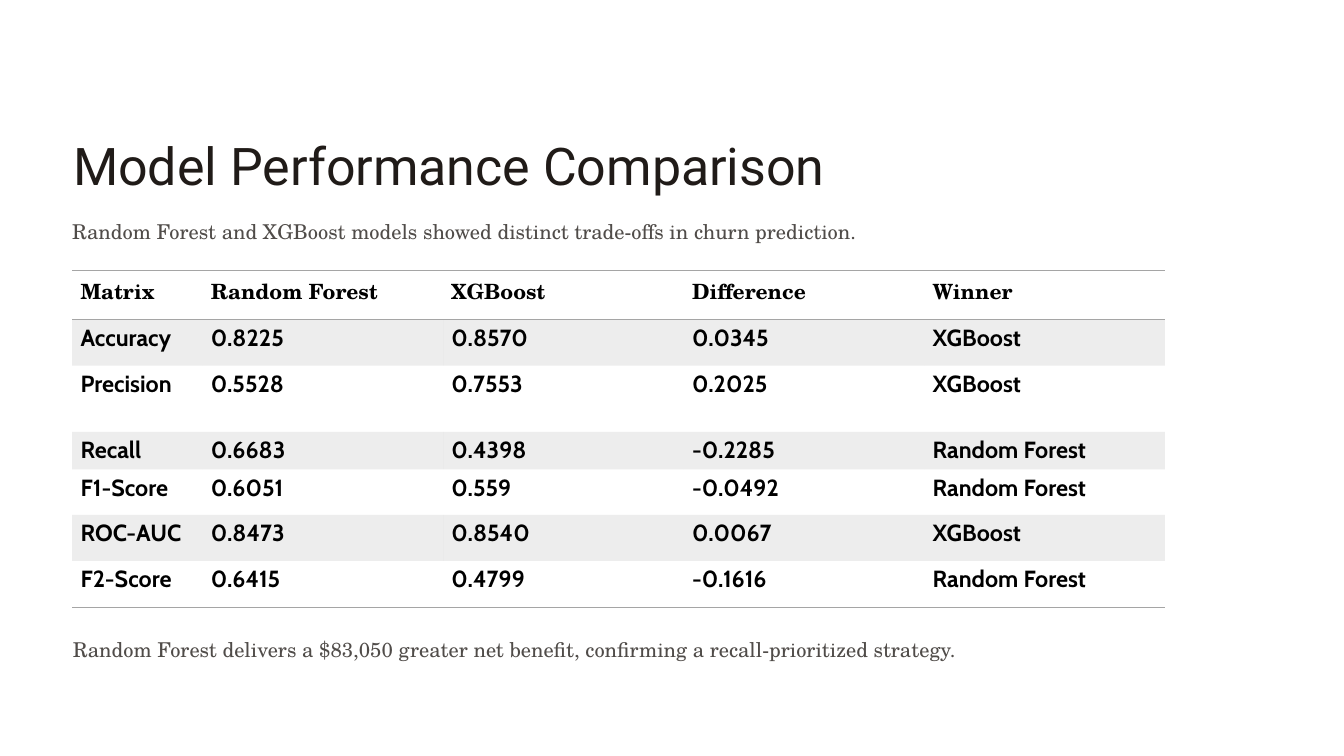
from lxml import etree
from pptx import Presentation
from pptx.dml.color import RGBColor
from pptx.enum import text
from pptx.oxml import ns
from pptx.util import Pt

COLORS = {"title": "201B18", "body": "504C49", "cell": "000000", "grey": "A5A5A5"}
TITLE = {"name": "Roboto", "size": Pt(44.5), "bold": False}
BODY = {"name": "TeX Gyre Schola", "size": Pt(17.5), "bold": False}
HEADER = {"name": "TeX Gyre Schola", "size": Pt(18), "bold": True}
VALUE = {"name": "Cabin", "size": Pt(20), "bold": True}
NO_STYLE = "{2D5ABB26-0587-4C30-8999-92F81FD0307C}"

ROWS = [
    ("Matrix", "Random Forest", "XGBoost", "Difference", "Winner"),
    ("Accuracy", "0.8225", "0.8570", "0.0345", "XGBoost"),
    ("Precision", "0.5528", "0.7553", "0.2025", "XGBoost"),
    ("Recall", "0.6683", "0.4398", "-0.2285", "Random Forest"),
    ("F1-Score", "0.6051", "0.559", "-0.0492", "Random Forest"),
    ("ROC-AUC", "0.8473", "0.8540", "0.0067", "XGBoost"),
    ("F2-Score", "0.6415", "0.4799", "-0.1616", "Random Forest"),
]
ROW_HEIGHTS = [42.2, 39.4, 56.8, 32.2, 39, 39.4, 39.8]
FIRST_COLUMN = 111.6


def write(para, words, style, color):
    """Add one formatted run to a paragraph."""
    span = para.add_run()
    span.text = words
    for key, value in style.items():
        setattr(span.font, key, value)
    span.font.color.rgb = RGBColor.from_string(COLORS[color])


def fill_line(shape, words, style, color, spacing):
    """Set a single line of text in a frame without margins."""
    frame = shape.text_frame
    settings = {"margin_left": 0, "margin_top": 0, "margin_right": 0, "margin_bottom": 0,
                "word_wrap": True, "auto_size": text.MSO_AUTO_SIZE.NONE,
                "vertical_anchor": text.MSO_ANCHOR.TOP}
    for key, value in settings.items():
        setattr(frame, key, value)
    para = frame.paragraphs[0]
    para.alignment = text.PP_ALIGN.LEFT
    para.line_spacing = Pt(spacing)
    write(para, words, style, color)


def add_title(page, box, words):
    """Place the slide title in its box."""
    title = page.shapes.title
    for key, value in zip(("left", "top", "width", "height"), box):
        setattr(title, key, Pt(value))
    fill_line(title, words, TITLE, "title", 55.5)


def add_sentence(page, box, words):
    """Place a line of body text in its box."""
    shape = page.shapes.add_textbox(*map(Pt, box))
    fill_line(shape, words, BODY, "body", 28.5)


def add_rule(cell, side):
    """Draw a thin grey border on one side of a cell."""
    line = etree.Element(ns.qn(f"a:{side}"), w=str(Pt(1)))
    fill = etree.SubElement(line, ns.qn("a:solidFill"))
    etree.SubElement(fill, ns.qn("a:srgbClr"), val=COLORS["grey"])
    cell._tc.get_or_add_tcPr().insert(0, line)


def shade(cell):
    """Give a cell a translucent grey fill."""
    cell.fill.solid()
    cell.fill.fore_color.rgb = RGBColor.from_string(COLORS["grey"])
    tint = cell._tc.tcPr.find(".//" + ns.qn("a:srgbClr"))
    etree.SubElement(tint, ns.qn("a:alpha"), val="20000")


def add_metrics(page, box):
    """Build the model comparison table in its box."""
    columns = len(ROWS[0])
    table = page.shapes.add_table(len(ROWS), columns, *map(Pt, box)).table
    table.first_row = table.horz_banding = False
    table._tbl.tblPr.find(ns.qn("a:tableStyleId")).text = NO_STYLE
    other_columns = (box[2] - FIRST_COLUMN) / (columns - 1)
    for index, column in enumerate(table.columns):
        column.width = Pt(other_columns if index else FIRST_COLUMN)
    for index, (row, height, words) in enumerate(zip(table.rows, ROW_HEIGHTS, ROWS)):
        row.height = Pt(height)
        for cell, word in zip(row.cells, words):
            write(cell.text_frame.paragraphs[0], word, VALUE if index else HEADER, "cell")
            if index % 2:
                shade(cell)
            else:
                cell.fill.background()
            if index in (0, len(ROWS) - 1):
                add_rule(cell, "lnB")
            if index == 0:
                add_rule(cell, "lnT")


def main():
    """Assemble and save the slide."""
    deck = Presentation()
    deck.slide_width, deck.slide_height = Pt(1152), Pt(648)
    page = deck.slides.add_slide(deck.slide_layouts[5])
    add_title(page, (62.6, 112.3, 707, 56.2), "Model Performance Comparison")
    add_sentence(page, (61.9, 180.7, 1026.7, 28.8),
                 "Random Forest and XGBoost models showed distinct trade-offs in churn prediction.")
    add_metrics(page, (61.9, 231.8, 936.7, sum(ROW_HEIGHTS)))
    add_sentence(page, (62.6, 538.6, 1026.7, 28.8),
                 "Random Forest delivers a $83,050 greater net benefit, "
                 "confirming a recall-prioritized strategy.")
    deck.save("out.pptx")


if __name__ == "__main__":
    main()
